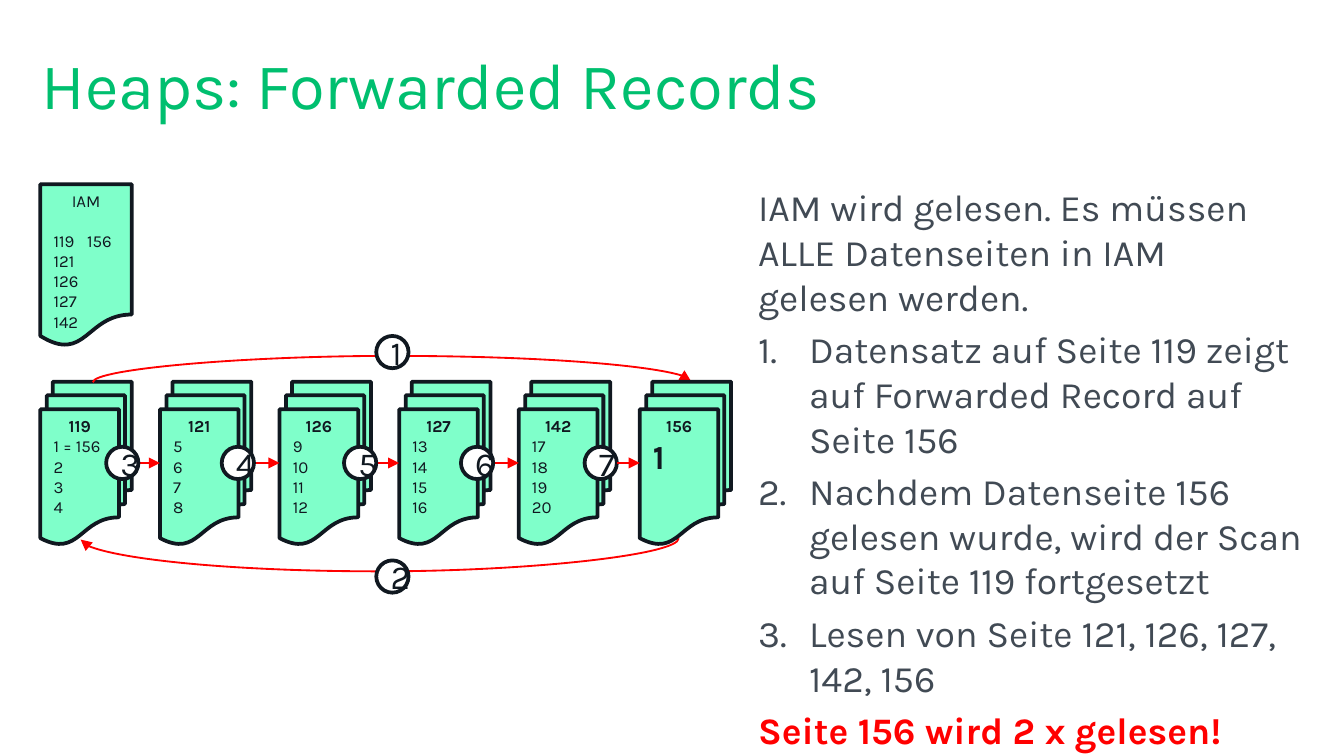
from lxml import etree
from pptx import Presentation
from pptx import util as u
from pptx.dml.color import RGBColor
from pptx.enum import shapes, text
from pptx.oxml.ns import qn
from pptx.util import Inches

MINT = RGBColor(0x7F, 0xFF, 0xCA)
INK = RGBColor(0x10, 0x18, 0x20)
WHITE = RGBColor(0xFF, 0xFF, 0xFF)
RED = RGBColor(0xFF, 0x00, 0x00)
GREEN = RGBColor(0x00, 0xBF, 0x6F)
SLATE = RGBColor(0x41, 0x4A, 0x54)

FONT = "Karla"
PAGE_W, PAGE_H, PAGE_STEP = 0.68, 1.21, 0.89
BADGE = 0.24

# Line breaks within a page are vertical tabs
DATA_PAGES = [
    ("119", "1 = 156\v2\v3\v4"),
    ("121", "5\v6\v7\v8"),
    ("126", "9\v10\v11\v12"),
    ("127", "13\v14\v15\v16"),
    ("142", "17\v18\v19\v20"),
]
STEPS = [
    "Datensatz auf Seite 119 zeigt auf Forwarded Record auf Seite 156",
    "Nachdem Datenseite 156 gelesen wurde, wird der Scan auf Seite 119 fortgesetzt",
    "Lesen von Seite 121, 126, 127, 142, 156",
]


def write(paragraph, words, size, color, bold=False, align=text.PP_ALIGN.LEFT):
    paragraph.text = words
    paragraph.alignment = align
    for run in paragraph.runs:
        run.font.name = FONT
        run.font.size = u.Pt(size)
        run.font.bold = bold
        run.font.color.rgb = color
    for line_break in paragraph._p.findall(qn("a:br")):
        settings = etree.SubElement(line_break, qn("a:rPr"), sz=str(size * 100))
        etree.SubElement(settings, qn("a:latin"), typeface=FONT)


def outlined(slide, preset, left, top, width, height, fill):
    shape = slide.shapes.add_shape(
        preset, Inches(left), Inches(top), Inches(width), Inches(height))
    shape.shadow.inherit = False
    shape.fill.solid()
    shape.fill.fore_color.rgb = fill
    shape.line.color.rgb = INK
    shape.line.width = u.Pt(2)
    return shape


def page(slide, preset, left, top, heading, rows, bold=True, row_size=9, row_bold=False):
    """A page symbol with a centred heading above left-aligned rows."""
    sheet = outlined(slide, preset, left, top, PAGE_W, PAGE_H, MINT)
    frame = sheet.text_frame
    frame.vertical_anchor = text.MSO_ANCHOR.TOP
    write(frame.paragraphs[0], heading, 9, INK, bold, text.PP_ALIGN.CENTER)
    for row in rows:
        write(frame.add_paragraph(), row, row_size, INK, row_bold)
    return frame


def badge(slide, left, top, number):
    circle = outlined(slide, shapes.MSO_SHAPE.OVAL, left, top, BADGE, BADGE, WHITE)
    circle.text_frame.vertical_anchor = text.MSO_ANCHOR.MIDDLE
    write(circle.text_frame.paragraphs[0], str(number), 18, INK,
          align=text.PP_ALIGN.CENTER)


def arrow(slide, kind, x1, y1, x2, y2):
    link = slide.shapes.add_connector(
        kind, Inches(x1), Inches(y1), Inches(x2), Inches(y2))
    link.line.color.rgb = RED
    link.line.width = u.Pt(1)
    properties = link._element.spPr
    etree.SubElement(properties.find(qn("a:ln")), qn("a:tailEnd"), type="triangle")
    etree.SubElement(properties, qn("a:effectLst"))
    return link


def arc(slide, left, right, y, bulge, upward):
    """A curve between two points at one height, as a narrow connector turned by 90°."""
    thin = 0.01
    middle, half = (left + right) / 2, (right - left) / 2
    side = thin / 2 if upward else -thin / 2
    end = half if upward else -half
    link = arrow(slide, shapes.MSO_CONNECTOR.CURVE,
                 middle + side, y + end, middle - side, y - end)
    properties = link._element.spPr
    properties.find(qn("a:xfrm")).set("rot", "5400000")
    guides = properties.find(qn("a:prstGeom")).get_or_add_avLst()
    etree.SubElement(guides, qn("a:gd"), name="adj1",
                     fmla=f"val {round(bulge / thin * 100000)}")


def iam_page(slide, left, top):
    frame = page(slide, shapes.MSO_SHAPE.FLOWCHART_DOCUMENT, left, top, "IAM",
                 ["119\t156", "121", "126", "127", "142"], bold=False)
    heading, first_row = frame.paragraphs[:2]
    heading.space_after = u.Pt(10.5)
    tabs = etree.SubElement(first_row._p.get_or_add_pPr(), qn("a:tabLst"))
    etree.SubElement(tabs, qn("a:tab"), pos=str(Inches(0.25)), algn="l")


def page_chain(slide, left, top):
    """Data pages, the forwarding arcs and the numbered reading order."""
    stack = shapes.MSO_SHAPE.FLOWCHART_MULTIDOCUMENT
    straight = shapes.MSO_CONNECTOR.STRAIGHT
    middle = top + PAGE_H / 2
    lefts = [left + i * PAGE_STEP for i in range(len(DATA_PAGES))]
    last = left + 4.46

    for x, (heading, rows) in zip(lefts, DATA_PAGES):
        page(slide, stack, x, top, heading, [rows])

    # Forwarding there and back
    arc(slide, left + 0.39, last + 0.38, top, 0.2, upward=True)
    arc(slide, left + 0.3, last + 0.29, top + 1.17, 0.25, upward=False)
    badge(slide, left + 2.5, top - 0.34, 1)
    badge(slide, left + 2.5, top + 1.33, 2)

    # Reading order
    for x, following in zip(lefts, lefts[1:]):
        arrow(slide, straight, x + PAGE_W, middle, following, middle)
    for number, offset in enumerate([0.49, 1.35, 2.26, 3.13, 4.05], start=3):
        badge(slide, left + offset, middle - BADGE / 2, number)

    # Page holding the forwarded record
    page(slide, stack, last, top, "156", ["1"], row_size=18, row_bold=True)
    arrow(slide, straight, left + 4.29, middle, last, middle)


def text_area(slide, left, top, width, height):
    box = slide.shapes.add_textbox(
        Inches(left), Inches(top), Inches(width), Inches(height))
    frame = box.text_frame
    frame.word_wrap = True
    frame.margin_left = frame.margin_right = frame.margin_top = frame.margin_bottom = 0
    return frame


def title(slide, left, top, width, height):
    frame = text_area(slide, left, top, width, height)
    frame.vertical_anchor = text.MSO_ANCHOR.MIDDLE
    write(frame.paragraphs[0], "Heaps: Forwarded Records", 34.9, GREEN)


def explanation(slide, left, top, width, height):
    frame = text_area(slide, left, top, width, height)
    write(frame.paragraphs[0],
          "IAM wird gelesen. Es müssen ALLE Datenseiten in IAM gelesen werden.",
          20, SLATE)
    for step in STEPS:
        item = frame.add_paragraph()
        write(item, step, 20, SLATE)
        settings = item._p.get_or_add_pPr()
        settings.set("marL", str(Inches(0.38)))
        settings.set("indent", str(-Inches(0.38)))
        etree.SubElement(settings, qn("a:buFont"), typeface=FONT)
        etree.SubElement(settings, qn("a:buAutoNum"), type="arabicPeriod")
    write(frame.add_paragraph(), "Seite 156 wird 2 x gelesen!", 20, RED, bold=True)
    for paragraph in frame.paragraphs:
        paragraph.space_before = u.Pt(4)


def main():
    deck = Presentation()
    deck.slide_width = Inches(10)
    deck.slide_height = deck.slide_width * 9 // 16
    slide = deck.slides.add_slide(deck.slide_layouts[6])
    iam_page(slide, 0.3, 1.37)
    page_chain(slide, 0.3, 2.84)
    title(slide, 0.31, 0.31, 9.37, 0.62)
    explanation(slide, 5.64, 1.37, 4.08, 3.75)
    deck.save("out.pptx")


if __name__ == "__main__":
    main()
